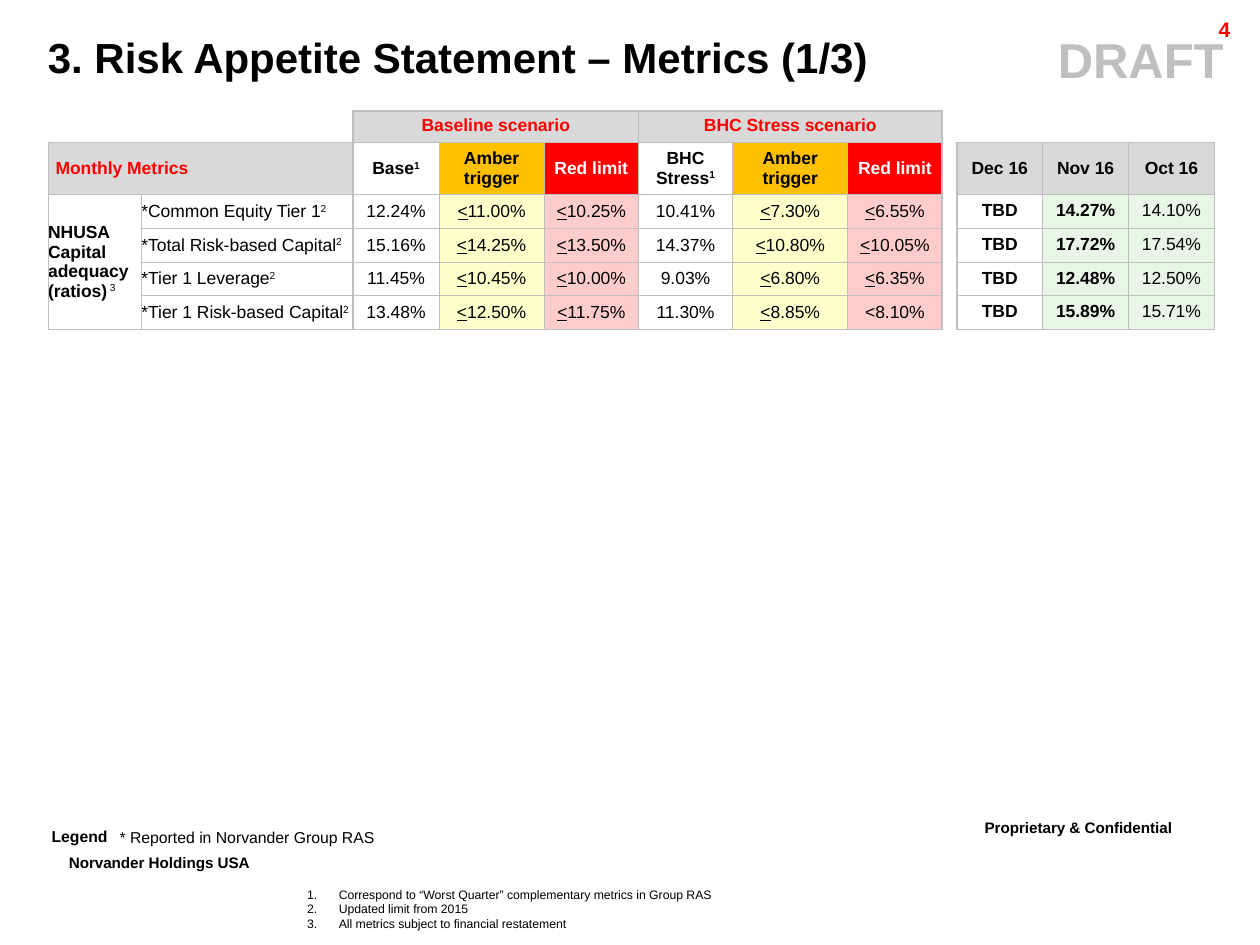
from lxml import etree
from pptx import Presentation
from pptx.dml.color import RGBColor
from pptx.enum import text as tx
from pptx.oxml.ns import qn
from pptx.util import Cm, Pt

HEX = dict(black="000000", white="FFFFFF", red="FF0000", amber="FFC000", grey="D9D9D9",
           line="BFBFBF", yellow="FFFFCC", pink="FFCCCC", green="E8F6E6")
LEFT, MID, RIGHT = tx.PP_ALIGN.LEFT, tx.PP_ALIGN.CENTER, tx.PP_ALIGN.RIGHT

# Content: "|" parts runs; "^" raises one, "°" raises it without bold, "_" underlines it
TITLE = "3. Risk Appetite Statement – Metrics (1/3)"
SCENES = {2: "Baseline scenario", 5: "BHC Stress scenario"}
HEADS = ["Base|^1", "Amber trigger", "Red limit", "BHC Stress|^1", "Amber trigger",
         "Red limit", "", "Dec 16", "Nov 16", "Oct 16"]
GROUP = ["NHUSA Capital adequacy", "(ratios)|° 3"]
ROWS = [
    ["*Common Equity Tier 1|^2", "12.24%", "_<|11.00%", "_<|10.25%", "10.41%", "_<|7.30%",
     "_<|6.55%", "", "TBD", "14.27%", "14.10%"],
    ["*Total Risk-based Capital|^2", "15.16%", "_<|14.25%", "_<|13.50%", "14.37%", "_<|10.80%",
     "_<|10.05%", "", "TBD", "17.72%", "17.54%"],
    ["*Tier 1 Leverage|^2", "11.45%", "_<|10.45%", "_<|10.00%", "9.03%", "_<|6.80%",
     "_<|6.35%", "", "TBD", "12.48%", "12.50%"],
    ["*Tier 1 Risk-based Capital|^2", "13.48%", "_<|12.50%", "_<|11.75%", "11.30%", "_<|8.85%",
     "<8.10%", "", "TBD", "15.89%", "15.71%"],
]
NOTES = ["Correspond to “Worst Quarter” complementary metrics in Group RAS",
         "Updated limit from 2015", "All metrics subject to financial restatement"]
# Labels: text, box in cm, size, colour, bold, alignment, inset, line spacing
LABELS = [
    ("^Proprietary & Confidential", (19.6, 16.3, 5.54, 0.89), 15, "black", True, LEFT, 0.25, 1),
    ("^Norvander Holdings USA", (1.14, 17.02, 4.85, 0.89), 15, "black", True, LEFT, 0.25, 1),
    ("DRAFT", (20.72, 0.48, 4.55, 1.45), 28, "line", True, MID, 0.25, 1),
    ("4", (22.64, 0.28, 2.41, 0.61), 12, "red", True, RIGHT, 0.25, 0.86),
    ("* Reported in Norvander Group RAS", (2.4, 16.74, 5.16, 0.33), 9, "black", False, MID, 0, 0.86),
    ("Legend", (1.04, 16.73, 1.65, 0.33), 9, "black", True, LEFT, 0, 0.86),
]
# Table grid in cm
COLS = [1.88, 4.27, 1.73, 2.12, 1.9, 1.9, 2.32, 1.9, 0.3, 1.73, 1.73, 1.73]
TALL = [0.63, 1.05] + [0.68] * len(ROWS)
HEADFILL = {3: "amber", 4: "red", 6: "amber", 7: "red", 9: "grey", 10: "grey", 11: "grey"}
BODYFILL = {3: "yellow", 4: "pink", 6: "yellow", 7: "pink", 10: "green", 11: "green"}


def rgb(name):
    return RGBColor.from_string(HEX[name])


def write(par, line, size, color="black", bold=False, align=LEFT):
    for part in line.split("|"):
        mark = part[0] if part[0] in "^°_" else ""
        run = par.add_run()
        run.text = part[len(mark):]
        if mark == "_":
            run.font.underline = True
        elif mark:
            run._r.get_or_add_rPr().set("baseline", "30000")
            if mark == "°":
                run.font.bold = False
    par.alignment = align
    font = par.font
    font.name, font.size, font.bold = "Arial", Pt(size), bold
    font.color.rgb = rgb(color)


def place(shape, box):
    shape.left, shape.top, shape.width, shape.height = map(Cm, box)


def inset(frame, gap):
    frame.margin_left = frame.margin_right = Cm(gap)
    frame.margin_top = frame.margin_bottom = Cm(gap / 2)


def upright(row, x):
    """Weight of the vertical rule at grid line x."""
    if row == 0:
        return {2: 1, 5: 0.5, 8: 1}.get(x, 0)
    return 1 if x in (2, 8, 9, 10, 11) else 0.5


def level(col, y):
    """Weight of the horizontal rule at grid line y."""
    if col == 8 or (y == 0 and not 2 <= col <= 7):
        return 0
    thick = (0, 6) if 2 <= col <= 7 else (1, 6) if col > 8 else ()
    return 1 if y in thick else 0.5


def border(cell, row, col):
    wide, high = (cell.span_width, cell.span_height) if cell.is_merge_origin else (1, 1)
    sides = dict(L=upright(row, col), R=upright(row, col + wide),
                 T=level(col, row), B=level(col, row + high))
    props = cell._tc.get_or_add_tcPr()
    for side, weight in sides.items():
        ln = etree.SubElement(props, qn("a:ln" + side), w=str(Pt(weight)))
        if weight:
            paint = etree.SubElement(ln, qn("a:solidFill"))
            etree.SubElement(paint, qn("a:srgbClr"), val=HEX["line"])
        else:
            etree.SubElement(ln, qn("a:noFill"))


def fill(cell, lines, paint=None, gap=0, mid=True, space=0, **style):
    cell.margin_left = cell.margin_right = cell.margin_top = cell.margin_bottom = Cm(gap)
    if mid:
        cell.vertical_anchor = tx.MSO_ANCHOR.MIDDLE
    if paint:
        cell.fill.solid()
        cell.fill.fore_color.rgb = rgb(paint)
    else:
        cell.fill.background()
    frame = cell.text_frame
    for i, line in enumerate(lines):
        par = frame.add_paragraph() if i else frame.paragraphs[0]
        if line:
            write(par, line, 10, **style)
            if space:
                par.space_before = par.space_after = Pt(space)
        else:
            etree.SubElement(par._p, qn("a:endParaRPr"), sz="800")


deck = Presentation()
deck.slide_width, deck.slide_height = Cm(25.4), Cm(19.05)
slide = deck.slides.add_slide(deck.slide_layouts[1])
title, body = slide.placeholders

# Title
place(title, (0.71, 0.66, 23.75, 1.14))
title.text_frame.auto_size = tx.MSO_AUTO_SIZE.NONE
title.text_frame.vertical_anchor = tx.MSO_ANCHOR.TOP
par = title.text_frame.paragraphs[0]
write(par, TITLE, 24, bold=True)
par.line_spacing = 0.86

# Table
frame = slide.shapes.add_table(len(TALL), len(COLS), Cm(0.97), Cm(2.24),
                               Cm(sum(COLS)), Cm(sum(TALL)))
table = frame.table
table.first_row = table.horz_banding = False
for col, width in zip(table.columns, COLS):
    col.width = Cm(width)
for row, height in zip(table.rows, TALL):
    row.height = Cm(height)
for first, last in [((0, 2), (0, 4)), ((0, 5), (0, 7)), ((1, 0), (1, 1)), ((2, 0), (5, 0))]:
    table.cell(*first).merge(table.cell(*last))

for r in range(len(TALL)):
    for c in range(len(COLS)):
        cell = table.cell(r, c)
        if cell.is_spanned:
            fill(cell, [""])
            continue
        border(cell, r, c)
        if r == 0 and c in SCENES:
            fill(cell, [SCENES[c]], "grey", 0.1, False, 2, color="red", bold=True, align=MID)
        elif r == 0 or c == 8:
            fill(cell, [""])
        elif r == 1 and c == 0:
            fill(cell, ["Monthly Metrics"], "grey", 0.1, color="red", bold=True)
            cell.margin_left = Cm(0.15)
        elif r == 1:
            color = "white" if HEADFILL.get(c) == "red" else "black"
            fill(cell, [HEADS[c - 2]], HEADFILL.get(c), 0.1, space=2,
                 color=color, bold=True, align=MID)
        elif c == 0:
            fill(cell, GROUP, bold=True)
        else:
            month = c > 8
            fill(cell, [ROWS[r - 2][c - 1]], BODYFILL.get(c), 0.13 if month else 0, not month,
                 bold=c in (9, 10), align=LEFT if c == 1 else MID)

# Numbered footnotes
place(body, (6.19, 17.88, 13.89, 1.1))
notes = body.text_frame
notes.auto_size = tx.MSO_AUTO_SIZE.NONE
inset(notes, 0)
for i, note in enumerate(NOTES):
    par = notes.add_paragraph() if i else notes.paragraphs[0]
    props = par._p.get_or_add_pPr()
    props.set("marL", str(Cm(0.64)))
    props.set("indent", str(-Cm(0.64)))
    etree.SubElement(props, qn("a:buFont"), typeface="+mj-lt")
    etree.SubElement(props, qn("a:buAutoNum"), type="arabicPeriod")
    write(par, note, 7)
    par.space_before = Pt(0)

# Stamp, page number, footers and legend
for line, box, size, color, bold, align, gap, pitch in LABELS:
    label = slide.shapes.add_textbox(*map(Cm, box)).text_frame
    label.word_wrap = gap > 0
    inset(label, gap)
    par = label.paragraphs[0]
    write(par, line, size, color, bold, align)
    par.line_spacing = pitch

deck.save("out.pptx")
